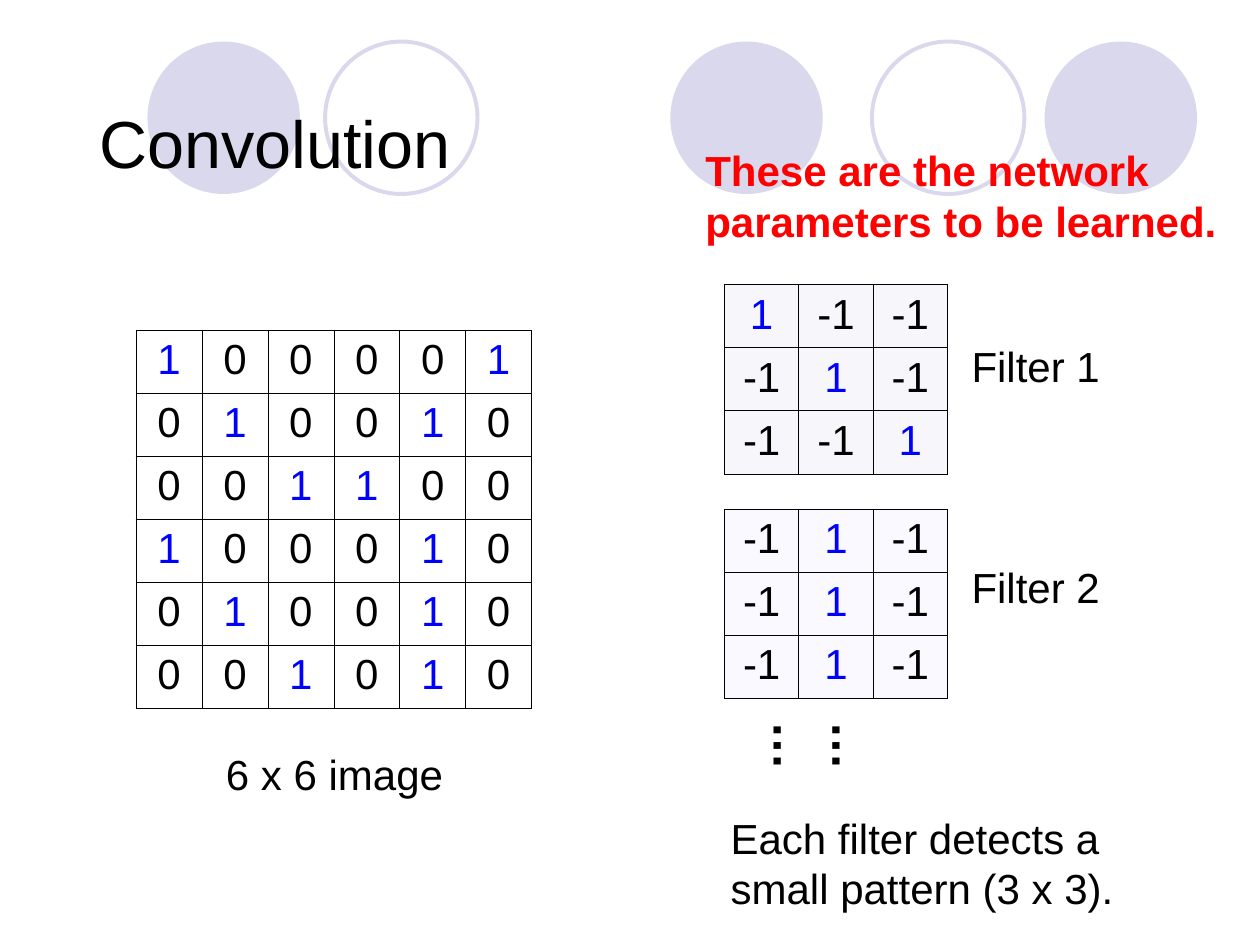
from lxml.etree import SubElement
from pptx import Presentation
from pptx.dml.color import RGBColor
from pptx.enum.shapes import MSO_SHAPE as Shape
from pptx.enum.text import MSO_ANCHOR as Anchor, MSO_AUTO_SIZE as AutoSize, PP_ALIGN as Align
from pptx.oxml.ns import qn
from pptx.util import Inches, Pt

BLACK = RGBColor(0x00, 0x00, 0x00)
BLUE = RGBColor(0x00, 0x00, 0xFF)
RED = RGBColor(0xFF, 0x00, 0x00)
LAVENDER = RGBColor(0xD9, 0xD8, 0xEC)
FILTER1_FILL = RGBColor(0xF7, 0xF7, 0xFB)
FILTER2_FILL = RGBColor(0xF9, 0xF9, 0xFF)

CIRCLES = [(5.32, True), (8.29, True), (1.17, True), (6.92, False), (2.58, False)]
IMAGE = [
    [1, 0, 0, 0, 0, 1],
    [0, 1, 0, 0, 1, 0],
    [0, 0, 1, 1, 0, 0],
    [1, 0, 0, 0, 1, 0],
    [0, 1, 0, 0, 1, 0],
    [0, 0, 1, 0, 1, 0],
]
FILTER1 = [[1, -1, -1], [-1, 1, -1], [-1, -1, 1]]
FILTER2 = [[-1, 1, -1]] * 3


def format_text(p, align=Align.LEFT, color=BLACK, size=24, bold=False):
    p.alignment = align
    p.font.color.rgb = color
    for name, value in {"name": "Arial", "size": Pt(size), "bold": bold}.items():
        setattr(p.font, name, value)


def add_circle(slide, left, filled):
    sp = slide.shapes.add_shape(Shape.OVAL, Inches(left), Inches(0.33), Inches(1.21), Inches(1.21))
    sp.shadow.inherit = False
    if filled:
        sp.fill.solid()
        sp.fill.fore_color.rgb = LAVENDER
        sp.line.fill.background()
    else:
        sp.fill.background()
        sp.line.color.rgb = LAVENDER
        sp.line.width = Pt(2.25)


def add_text(slide, box, text, anchor=Anchor.TOP, grow=True, rotation=0, **style):
    sp = slide.shapes.add_textbox(*map(Inches, box))
    sp.rotation = rotation
    tf = sp.text_frame
    frame = {
        "word_wrap": True,
        "vertical_anchor": anchor,
        "auto_size": AutoSize.SHAPE_TO_FIT_TEXT if grow else AutoSize.NONE,
    }
    for name, value in frame.items():
        setattr(tf, name, value)
    p = tf.paragraphs[0]
    p.add_run().text = text
    format_text(p, **style)


def set_borders(cell):
    tc_pr = cell._tc.get_or_add_tcPr()
    for side in ("lnL", "lnR", "lnT", "lnB"):
        ln = SubElement(tc_pr, qn(f"a:{side}"), w=str(Pt(0.45)))
        fill = SubElement(ln, qn("a:solidFill"))
        SubElement(fill, qn("a:srgbClr"), val=str(BLACK))


def add_matrix(slide, left, top, width, values, fill=None):
    rows, cols = len(values), len(values[0])
    frame = slide.shapes.add_table(
        rows, cols, Inches(left), Inches(top), Inches(width), Inches(0.5 * rows))
    table = frame.table
    table.first_row = False
    table.horz_banding = False
    for i, row in enumerate(values):
        for j, value in enumerate(row):
            cell = table.cell(i, j)
            cell.text = str(value)
            format_text(cell.text_frame.paragraphs[0], Align.CENTER, BLUE if value == 1 else BLACK)
            set_borders(cell)
            if fill:
                cell.fill.solid()
                cell.fill.fore_color.rgb = fill
            else:
                cell.fill.background()


def main():
    prs = Presentation()
    prs.slide_width, prs.slide_height = Inches(10), Inches(7.5)
    s = prs.slides.add_slide(prs.slide_layouts[6])

    for left, filled in CIRCLES:
        add_circle(s, left, filled)
    add_text(s, (0.69, 0.4, 8.63, 1.45), "Convolution", Anchor.MIDDLE, grow=False, size=38)

    add_matrix(s, 1.08, 2.62, 3.14, IMAGE)
    add_text(s, (1.37, 5.89, 2.57, 0.5), "6 x 6 image", align=Align.CENTER)

    add_matrix(s, 5.75, 2.26, 1.77, FILTER1, FILTER1_FILL)
    add_text(s, (7.43, 2.65, 1.58, 0.5), "Filter 1", align=Align.CENTER)
    add_matrix(s, 5.75, 4.04, 1.77, FILTER2, FILTER2_FILL)
    add_text(s, (7.43, 4.41, 1.58, 0.5), "Filter 2", align=Align.CENTER)
    add_text(s, (6.14, 5.49, 0.77, 1.04), "……", rotation=90, size=28, bold=True)

    add_text(s, (5.5, 1.1, 4.33, 0.9), "These are the network parameters to be learned.",
             color=RED, bold=True)
    add_text(s, (5.7, 6.4, 3.89, 0.9), "Each filter detects a small pattern (3 x 3).")
    prs.save("out.pptx")


if __name__ == "__main__":
    main()
